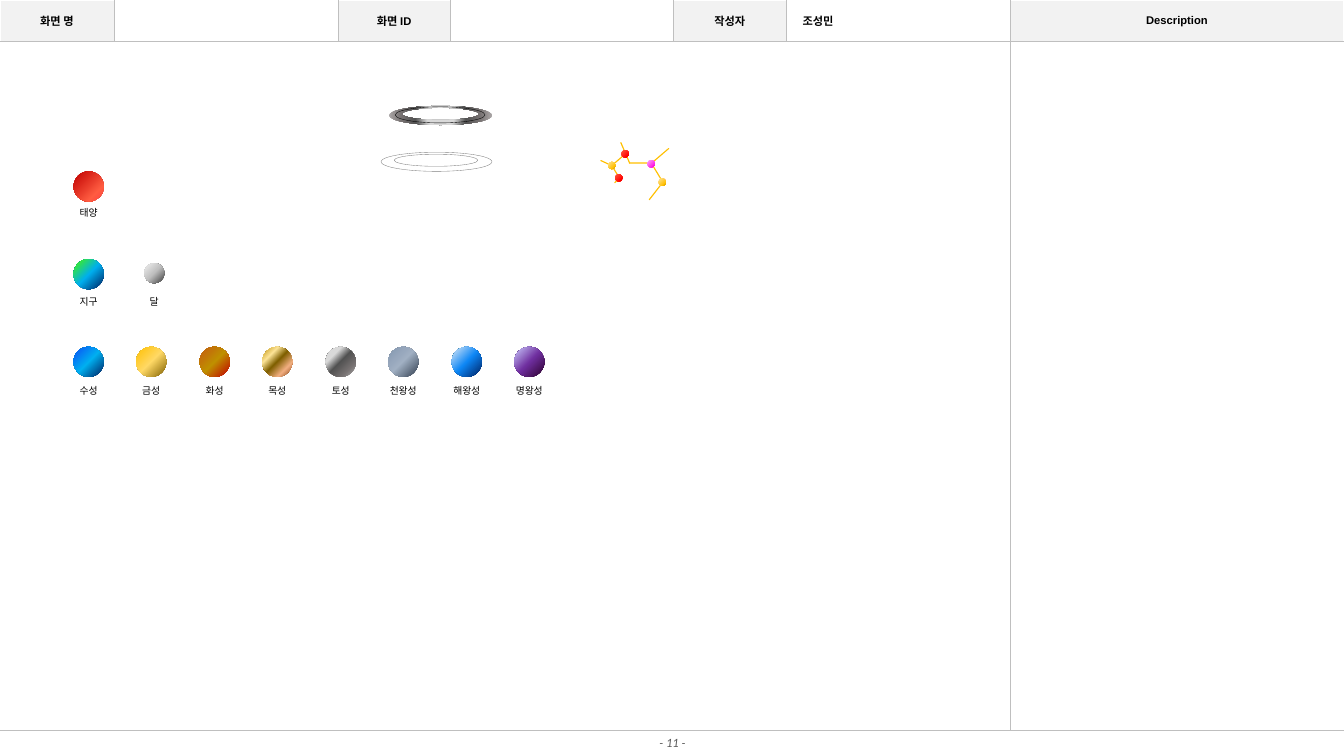
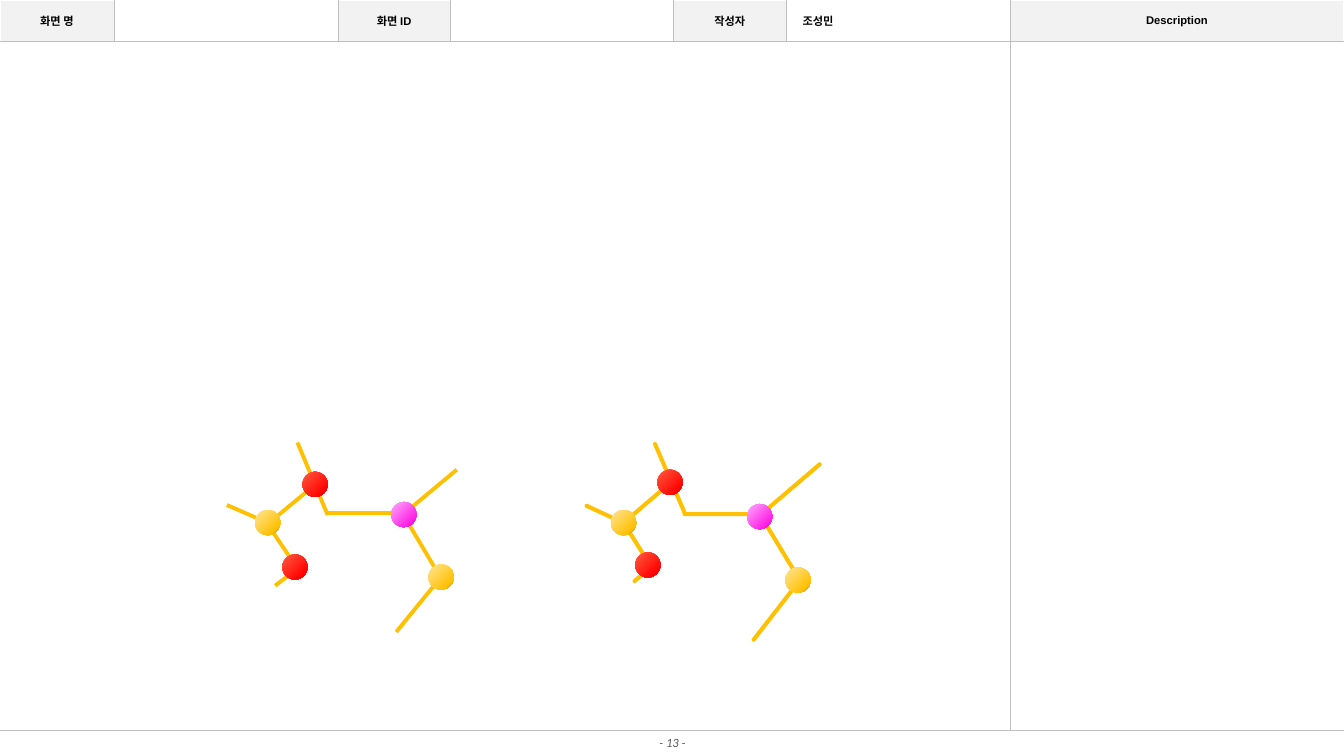
"""Build two storyboard pages with planets and constellations."""
from dataclasses import dataclass

from lxml.etree import SubElement
from pptx import Presentation
from pptx.dml.color import RGBColor as Rgb
from pptx.enum.shapes import MSO_CONNECTOR as Link, MSO_SHAPE as Kind
from pptx.enum.text import MSO_ANCHOR as Anchor, MSO_AUTO_SIZE as Fit, PP_ALIGN as Align
from pptx.oxml.ns import qn
from pptx.util import Emu, Pt

PX = 9144
ARC = 0.55
PLAIN_TABLE = "{2D5ABB26-0587-4C30-8999-92F81FD0307C}"


@dataclass(frozen=True)
class Theme:
    """Colours, fonts, type sizes and line weights."""
    white: str = "FFFFFF"
    black: str = "000000"
    band: str = "F2F2F2"
    rule: str = "BFBFBF"
    footer: str = "595959"
    orbit: str = "808080"
    gold: str = "FFC000"
    latin: str = "Arial"
    korean: str = "Noto Sans CJK KR"
    number_font: str = "Calibri"
    header_size: int = 8
    label_size: int = 7
    number_size: int = 9
    hairline: float = 0.25
    edge: float = 1
    link: float = 2.75


THEME = Theme()
TOP_LEFT = (0, 0, 100, 100)
BOTTOM_RIGHT = (100, 100, 0, 0)
CENTRE = (50, 50, 50, 50)

GRADIENTS = {
    "태양": ((0, "FF4343"), (27, "FF5C41"), (100, "C00000")),
    "지구": ((0, "49FA01"), (50, "00B0F0"), (100, "002060")),
    "달": ((0, "F2F2F2"), (50, "BFBFBF"), (100, "404040")),
    "수성": ((0, "0B4FF6"), (50, "00B0F0"), (100, "002060")),
    "금성": ((0, "FFC000"), (50, "FFD966"), (100, "806000")),
    "화성": ((0, "C55A11"), (50, "BF9000"), (100, "C00000")),
    "목성": ((0, "BF9000"), (27, "FFE699"), (49, "806000"), (75, "F4B183"), (100, "843C0B")),
    "토성": ((0, "D9D9D9"), (27, "D9D9D9"), (49, "525252"), (75, "767171"), (100, "AFABAB")),
    "천왕성": ((0, "8497B0"), (49, "A1B0C3"), (100, "333F50")),
    "해왕성": ((0, "DEEBF7"), (50, "0D87F5"), (100, "002060")),
    "명왕성": ((0, "CCCCFF"), (50, "7030A0"), (100, "2E002E")),
    "red star": ((0, "C00000"), (16, "FF0000"), (100, "FF5C41")),
    "gold star": ((0, "806000"), (18, "FFC000"), (100, "FFE699")),
    "pink star": ((0, "630064"), (16, "FF18E3"), (100, "FBADFC")),
}
PLANETS = ("수성", "금성", "화성", "목성", "토성", "천왕성", "해왕성", "명왕성")

HEADER = ("화면 명", "", "화면 ID", "", "작성자", "", "Description")
COLUMNS = (113, 222, 112, 221, 112, 222, 331)
ROWS = (41, 683)

BARS = (
    (47, 7, 79, 66.7), (99, 42, 79, 0), (167, 17, 79, 319.5),
    (156, 75, 79, 58.8), (153, 137, 79, 307.8), (32, 31, 63, 319.5),
    (0, 42, 43, 24.8), (27, 73, 55, 57.8), (47, 102, 24, 319.5),
)
BAR_STARS = (
    ("red star", 52, 82), ("gold star", 28, 40), ("red star", 74, 0),
    ("pink star", 163, 34), ("gold star", 201, 97),
)
LINKS = (
    (225, 501, 264, 518), (264, 518, 295, 564), (295, 564, 273, 581),
    (310, 483, 264, 521), (325, 511, 295, 439), (399, 509, 325, 509),
    (399, 511, 453, 466), (399, 509, 437, 573), (393, 627, 437, 573),
)
LINK_STARS = (
    ("red star", 300, 468), ("red star", 280, 550), ("gold star", 425, 560),
    ("gold star", 253, 506), ("pink star", 388, 498),
)


def px(*lengths):
    """Turn px lengths into EMU."""
    return [Emu(round(length * PX)) for length in lengths]


def write_text(frame, text, size, font=THEME.korean, color=THEME.black, bold=False,
               italic=False, align=Align.CENTER):
    """Write one formatted paragraph into a text frame."""
    para = frame.paragraphs[0]
    para.alignment = align
    if not text:
        SubElement(para._p, qn("a:endParaRPr"), sz=str(size * 100))
        return
    span = para.add_run()
    span.text = text
    span.font.size, span.font.name = Pt(size), font
    span.font.bold, span.font.italic = bold, italic
    span.font.color.rgb = Rgb.from_string(color)
    SubElement(span._r.get_or_add_rPr(), qn("a:ea"), typeface=THEME.korean)


def radial_fill(shape, stops, focus):
    """Fill a shape with a circular gradient spreading from the focus."""
    shape.fill.gradient()
    grad = shape._element.spPr.find(qn("a:gradFill"))
    for child in list(grad):
        grad.remove(child)
    stop_list = SubElement(grad, qn("a:gsLst"))
    for position, color in stops:
        stop = SubElement(stop_list, qn("a:gs"), pos=str(position * 1000))
        SubElement(stop, qn("a:srgbClr"), val=color)
    circle = SubElement(grad, qn("a:path"), path="circle")
    sides = {side: str(value * 1000) for side, value in zip("ltrb", focus)}
    SubElement(circle, qn("a:fillToRect"), **sides)


def cell_border(cell, side, color, weight):
    """Draw one border of a table cell."""
    line = SubElement(cell._tc.get_or_add_tcPr(), qn("a:ln" + side), w=str(Pt(weight)))
    SubElement(SubElement(line, qn("a:solidFill")), qn("a:srgbClr"), val=color)


def oval_corners(left, top, width, height):
    """Return the four ends of an oval from its right end round to it again."""
    x, y = left + width / 2, top + height / 2
    right, bottom = left + width, top + height
    return [px(*end) for end in ((right, y), (x, bottom), (left, y), (x, top), (right, y))]


def round_corners(shape):
    """Turn the straight sides of oval outlines into quarter arcs."""
    for step in list(shape._element.iter(qn("a:moveTo"), qn("a:lnTo"))):
        x, y = (int(step[0].get(axis)) for axis in "xy")
        if step.tag == qn("a:moveTo"):
            upright = True
        else:
            near_x, near_y = round(ARC * (x - last_x)), round(ARC * (y - last_y))
            controls = (((last_x, last_y + near_y), (x - near_x, y)) if upright
                        else ((last_x + near_x, last_y), (x, y - near_y)))
            step.tag = qn("a:cubicBezTo")
            for place, (point_x, point_y) in enumerate(controls):
                point = SubElement(step, qn("a:pt"), x=str(point_x), y=str(point_y))
                step.insert(place, point)
            upright = not upright
        last_x, last_y = x, y


class Storyboard:
    """Holds the deck, its style and the current page."""

    def __init__(self, theme):
        self.theme = theme
        self.deck = Presentation()
        self.deck.slide_width, self.deck.slide_height = px(sum(COLUMNS), 750)

    def add_page(self, number):
        self.page = self.deck.slides.add_slide(self.deck.slide_layouts[6])
        self.group(False)
        self.header_grid()
        self.text("조성민", 780, 0, 220, 41, insets=(16, 5, 10, 5), wrap=True,
                  size=self.theme.header_size, bold=True, align=Align.LEFT)
        self.text(f"- {number} -", 653, 729, 28, 15, size=self.theme.number_size,
                  font=self.theme.number_font, color=self.theme.footer, italic=True)

    def group(self, grouped=True):
        shapes = self.page.shapes
        self.target = shapes.add_group_shape().shapes if grouped else shapes

    def header_grid(self):
        theme, last = self.theme, len(COLUMNS) - 1
        table = self.target.add_table(len(ROWS), len(COLUMNS),
                                      *px(0, 0, sum(COLUMNS), sum(ROWS))).table
        table.first_row = table.horz_banding = False
        table._tbl.tblPr.find(qn("a:tableStyleId")).text = PLAIN_TABLE
        table.cell(1, 0).merge(table.cell(1, last - 1))
        for column, width in zip(table.columns, px(*COLUMNS)):
            column.width = width
        for index, row in enumerate(table.rows):
            row.height = px(ROWS[index])[0]
            for column, cell in enumerate(row.cells):
                if cell.is_spanned:
                    continue
                outer = {"L": column == 0, "R": column == last, "T": index == 0, "B": False}
                for side, at_edge in outer.items():
                    line = (theme.white, theme.edge) if at_edge else (theme.rule, theme.hairline)
                    cell_border(cell, side, *line)
                text = "" if index else HEADER[column]
                cell.fill.solid()
                cell.fill.fore_color.rgb = Rgb.from_string(theme.band if text else theme.white)
                cell.vertical_anchor = Anchor.MIDDLE
                write_text(cell.text_frame, text, theme.header_size, theme.latin, bold=True)

    def text(self, text, left, top, width, height, insets=(0, 0, 0, 0), wrap=False, **style):
        frame = self.target.add_textbox(*px(left, top, width, height)).text_frame
        frame.word_wrap = wrap
        frame.auto_size = Fit.NONE if wrap else Fit.SHAPE_TO_FIT_TEXT
        frame.vertical_anchor = Anchor.MIDDLE
        frame.margin_left, frame.margin_top, frame.margin_right, frame.margin_bottom = px(*insets)
        write_text(frame, text, **style)

    def shape(self, kind, left, top, width, height, fill=None, line=None):
        shape = self.target.add_shape(kind, *px(left, top, width, height))
        shape.shadow.inherit = False
        if fill:
            shape.fill.solid()
            shape.fill.fore_color.rgb = Rgb.from_string(fill)
        else:
            shape.fill.background()
        if line:
            shape.line.color.rgb = Rgb.from_string(line)
            shape.line.width = Pt(self.theme.hairline)
        else:
            shape.line.fill.background()
        return shape

    def ball(self, name, left, top, size=25, focus=BOTTOM_RIGHT):
        radial_fill(self.shape(Kind.OVAL, left, top, size, size), GRADIENTS[name], focus)

    def planet(self, name, left, top, label_top, size=30, focus=TOP_LEFT):
        self.group()
        self.ball(name, left, top, size, focus)
        width = 10 * len(name)
        self.text(name, left + (size - width) // 2, label_top, width, 12,
                  size=self.theme.label_size)

    def ring(self):
        self.group()
        outer = oval_corners(386, 105, 102, 19)
        inner = oval_corners(399, 107, 76, 12)[::-1]
        builder = self.target.build_freeform(*outer[0], scale=1.0)
        builder.add_line_segments(outer[1:], close=True)
        builder.move_to(*inner[0])
        builder.add_line_segments(inner[1:], close=True)
        band = builder.convert_to_shape()
        round_corners(band)
        band.shadow.inherit = False
        band.line.fill.background()
        radial_fill(band, GRADIENTS["토성"], CENTRE)
        self.shape(Kind.OVAL, 392, 106, 89, 16, line=self.theme.black)

    def bar_constellation(self, left, top, scale=1.0):
        self.group()
        for x, y, length, angle in BARS:
            bar = self.shape(Kind.ROUNDED_RECTANGLE, left + x * scale, top + y * scale,
                             length * scale, 4 * scale, fill=self.theme.gold)
            bar.adjustments[0] = 0.5
            bar.rotation = angle
        for name, x, y in BAR_STARS:
            self.ball(name, left + x * scale, top + y * scale, 25 * scale)

    def line_constellation(self):
        self.group()
        for ends in LINKS:
            link = self.target.add_connector(Link.STRAIGHT, *px(*ends))
            link.line.color.rgb = Rgb.from_string(self.theme.gold)
            link.line.width = Pt(self.theme.link)
            SubElement(link._element.spPr, qn("a:effectLst"))
        for name, left, top in LINK_STARS:
            self.ball(name, left, top)


board = Storyboard(THEME)
board.add_page(11)
for orbit in ((378, 151, 110, 19), (391, 153, 83, 12)):
    board.shape(Kind.OVAL, *orbit, fill=THEME.white, line=THEME.orbit)
board.planet("태양", 73, 170, 205, focus=BOTTOM_RIGHT)
board.planet("지구", 73, 257, 293)
board.planet("달", 143, 261, 293, size=20)
board.bar_constellation(595, 149, scale=0.29)
for index, name in enumerate(PLANETS):
    board.planet(name, 73 + 125 * index // 2, 344, 381)
board.ring()

board.add_page(13)
board.line_constellation()
board.bar_constellation(578, 466)
board.deck.save("out.pptx")
